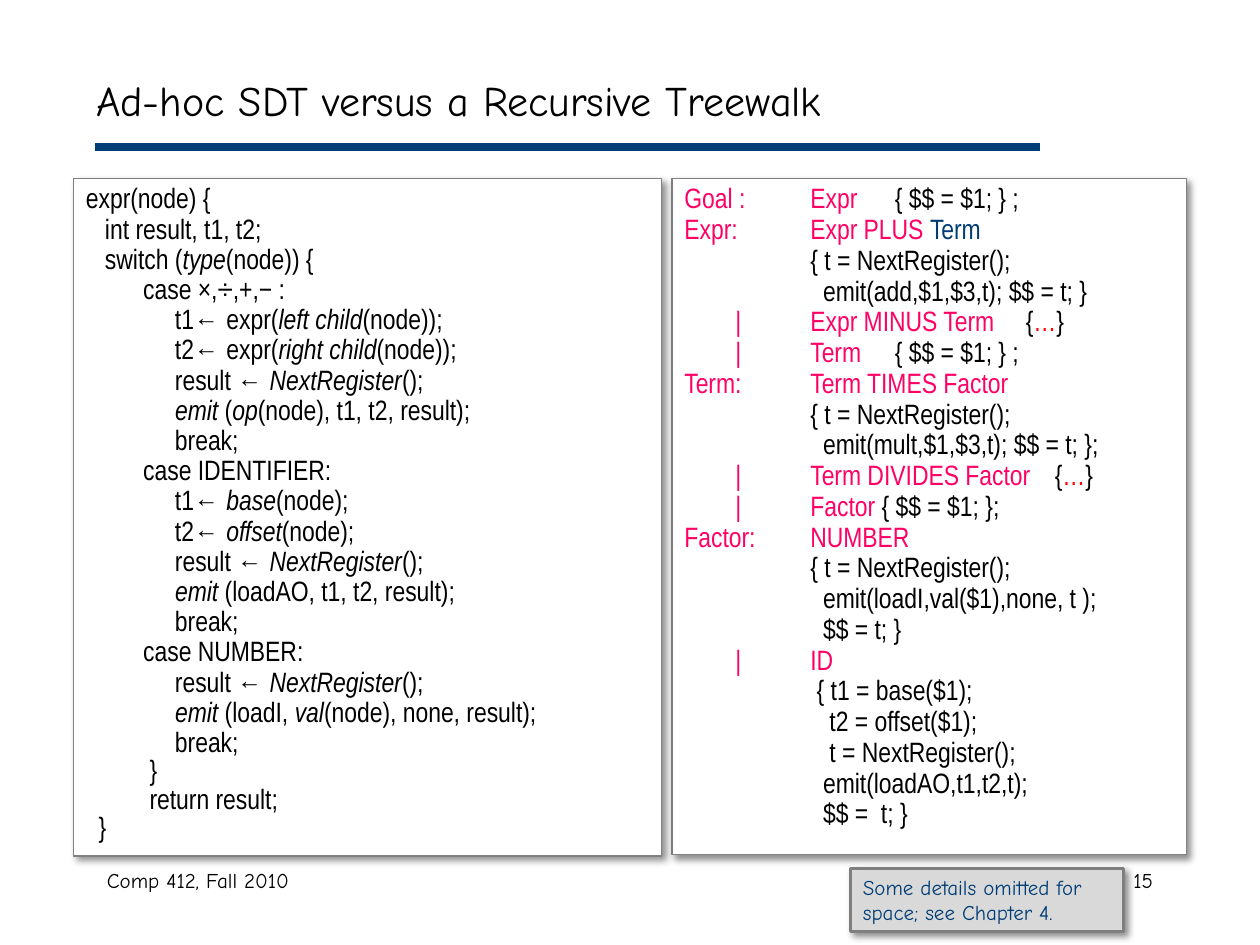
from lxml import etree
from pptx import Presentation
from pptx.dml.color import RGBColor
from pptx.enum.shapes import MSO_CONNECTOR, MSO_SHAPE
from pptx.enum.text import MSO_ANCHOR, PP_ALIGN
from pptx.oxml import parse_xml
from pptx.oxml.ns import nsdecls, qn
from pptx.util import Inches, Pt

STRAIGHT = MSO_CONNECTOR.STRAIGHT
RECTANGLE = MSO_SHAPE.RECTANGLE
TOP, MIDDLE = MSO_ANCHOR.TOP, MSO_ANCHOR.MIDDLE
LEFT, RIGHT = PP_ALIGN.LEFT, PP_ALIGN.RIGHT
BLACK, WHITE, NAVY, PINK, RED = "000000", "FFFFFF", "003C75", "FF0065", "FF0000"
CODE_FONT, HAND_FONT = "Arial Narrow", "Comic Neue"

presentation = Presentation()
presentation.slide_width, presentation.slide_height = Inches(10), Inches(7.5)
slide = presentation.slides.add_slide(presentation.slide_layouts[6])
unit = presentation.slide_width / 120


def color(value):
    return RGBColor.from_string(value)


def add_run(paragraph, text, name, size, shade, italic=False):
    run = paragraph.add_run()
    run.text = text
    run.font.color.rgb = color(shade)
    for key, value in {"name": name, "size": Pt(size), "italic": italic}.items():
        setattr(run.font, key, value)


rule = slide.shapes.add_connector(
    STRAIGHT, *[round(unit * n) for n in (9, 14, 99, 14)])
rule.line.color.rgb = color(NAVY)
rule.line.width = Pt(4.5)
etree.SubElement(rule._element.spPr, qn("a:effectLst"))

for text, box, size, anchor, alignment in [
    ("Comp 412, Fall 2010", (9, 82, 38, 6), 12, TOP, LEFT),
    ("15", (86, 82, 25, 6), 12, TOP, RIGHT),
    ("Ad-hoc SDT versus a Recursive Treewalk", (8, 6, 102, 7), 24, MIDDLE, LEFT),
]:
    frame = slide.shapes.add_textbox(*[round(unit * n) for n in box]).text_frame
    frame.word_wrap = True
    frame.vertical_anchor = anchor
    paragraph = frame.paragraphs[0]
    paragraph.alignment = alignment
    add_run(paragraph, text, HAND_FONT, size, BLACK)

frames = {}
for name, box, fill, outline, width in [
    ("grammar", (64, 17, 49, 64.4), WHITE, "808080", 1),
    ("treewalk", (7, 17, 56, 64.5), WHITE, "808080", 1),
    ("note", (81, 82.7, 26, 6), "D9D9D9", "7F7F7F", 1.5),
]:
    shape = slide.shapes.add_shape(RECTANGLE, *[round(unit * n) for n in box])
    shape.fill.solid()
    shape.fill.fore_color.rgb = color(fill)
    shape.line.color.rgb = color(outline)
    shape.line.width = Pt(width)
    shape._element.spPr.append(parse_xml(
        f'<a:effectLst {nsdecls("a")}><a:outerShdw blurRad="{Pt(4)}" dist="{Pt(3)}" '
        'dir="2700000" algn="tl" rotWithShape="0"><a:srgbClr val="000000">'
        '<a:alpha val="43000"/></a:srgbClr></a:outerShdw></a:effectLst>'))
    frames[name] = shape.text_frame
    frames[name].word_wrap = True
    frames[name].vertical_anchor = TOP

grammar = [
    [("Goal :\tExpr", PINK), ("\t{ $$ = $1; } ;", BLACK)],
    [("Expr:\tExpr PLUS ", PINK), ("Term", NAVY)],
    [("\t{ t = NextRegister();", BLACK)],
    [("\t  emit(add,$1,$3,t); $$ = t; }", BLACK)],
    [("        |\tExpr MINUS Term", PINK), ("\t{", BLACK), ("…", RED), ("}", BLACK)],
    [("        |\tTerm", PINK), ("\t{ $$ = $1; } ;", BLACK)],
    [("Term:\tTerm TIMES Factor", PINK)],
    [("\t{ t = NextRegister();", BLACK)],
    [("\t  emit(mult,$1,$3,t); $$ = t; };", BLACK)],
    [("        |\tTerm DIVIDES Factor", PINK), ("\t{", BLACK), ("…", RED), ("}", BLACK)],
    [("        |\tFactor ", PINK), ("{ $$ = $1; };", BLACK)],
    [("Factor:\tNUMBER", PINK)],
    [("\t{ t = NextRegister();", BLACK)],
    [("\t  emit(loadI,val($1),none, t );", BLACK)],
    [("\t  $$ = t; }", BLACK)],
    [("        |\tID", PINK)],
    [("\t { t1 = base($1);", BLACK)],
    [("\t   t2 = offset($1);", BLACK)],
    [("\t   t = NextRegister();", BLACK)],
    [("\t  emit(loadAO,t1,t2,t);", BLACK)],
    [("\t  $$ =  t; }", BLACK)],
]
for index, pieces in enumerate(grammar):
    frame = frames["grammar"]
    paragraph = frame.add_paragraph() if index else frame.paragraphs[0]
    tabs = etree.SubElement(paragraph._p.get_or_add_pPr(), qn("a:tabLst"))
    for stop in (1, 1.67, 2.71, 2.94):
        etree.SubElement(tabs, qn("a:tab"), pos=str(Inches(stop)), algn="l")
    paragraph.alignment = LEFT
    paragraph.line_spacing = 0.9
    paragraph.space_before = Pt(0.3 if index else 0)
    for text, shade in pieces:
        add_run(paragraph, text, CODE_FONT, 16, shade)

treewalk = """expr(node) {
   int result, t1, t2;
   switch (*type*(node)) {
         case ×,÷,+,− :
              t1← expr(*left child*(node));
              t2← expr(*right child*(node));
              result ← *NextRegister*();
              *emit *(*op*(node), t1, t2, result);
              break;
         case IDENTIFIER:
              t1← *base*(node);
              t2← *offset*(node);
              result ← *NextRegister*();
              *emit *(loadAO, t1, t2, result);
              break;
         case NUMBER:
              result ← *NextRegister*();
              *emit *(loadI, *val*(node), none, result);
              break;
          }
          return result;
  }"""
for index, code in enumerate(treewalk.split("\n")):
    frame = frames["treewalk"]
    paragraph = frame.add_paragraph() if index else frame.paragraphs[0]
    paragraph.alignment = LEFT
    paragraph.line_spacing = 0.8 if code.strip() == "}" else 0.9
    for position, piece in enumerate(code.split("*")):
        for text in filter(None, piece.partition("←")):
            size = 14 if text == "←" else 16
            add_run(paragraph, text, CODE_FONT, size, BLACK, position % 2 == 1)

paragraph = frames["note"].paragraphs[0]
paragraph.alignment = LEFT
add_run(paragraph, "Some details omitted for space; see Chapter 4.", HAND_FONT, 12, NAVY)

presentation.save("out.pptx")
